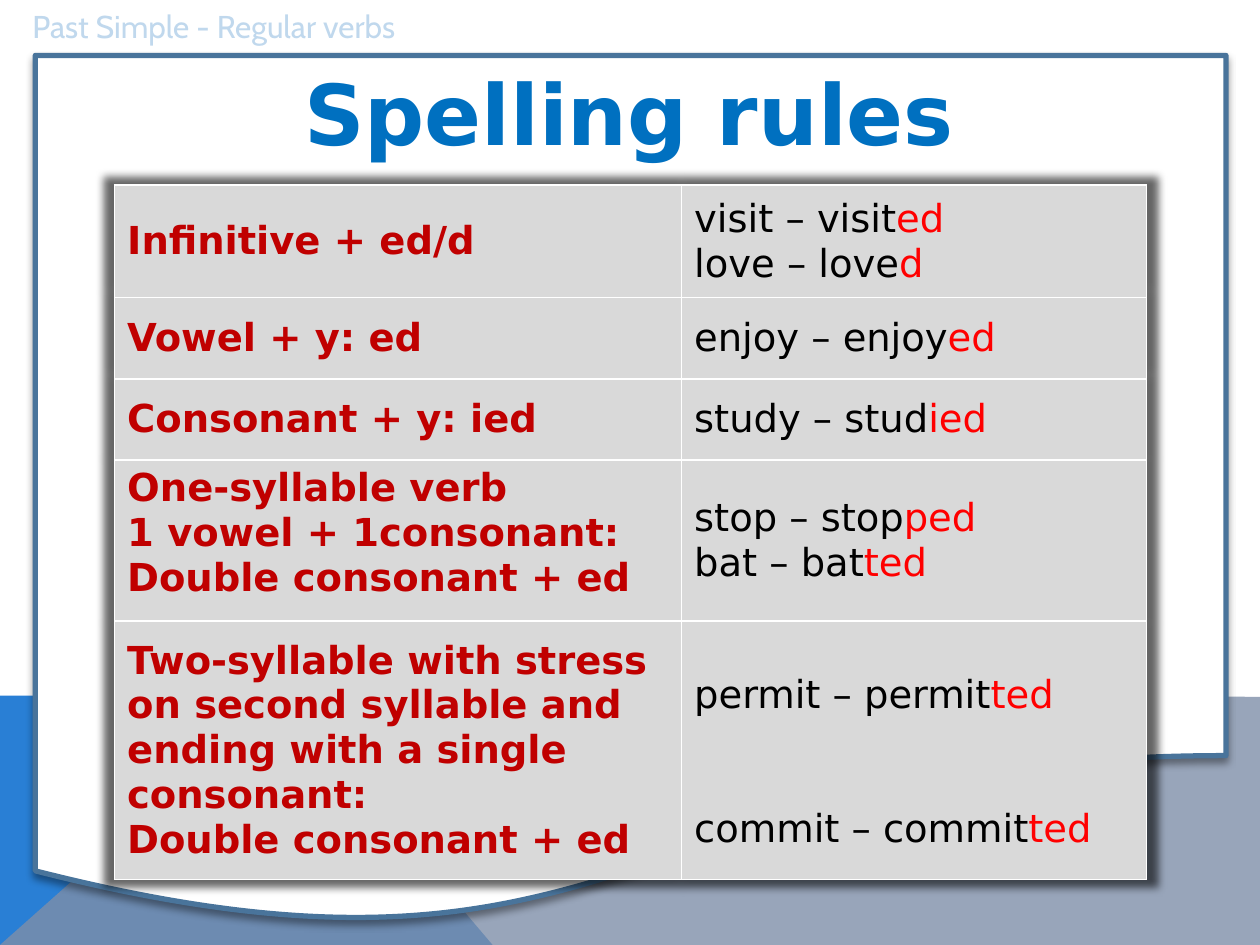
from lxml.etree import SubElement
from pptx import Presentation
from pptx.dml.color import RGBColor
from pptx.enum.shapes import MSO_SHAPE
from pptx.enum.text import MSO_ANCHOR, MSO_AUTO_SIZE, PP_ALIGN
from pptx.oxml.ns import qn
from pptx.util import Inches, Pt

WHITE = RGBColor(0xFF, 0xFF, 0xFF)
BLACK = RGBColor(0x00, 0x00, 0x00)
BLUE = RGBColor(0x29, 0x7F, 0xD5)
SLATE = RGBColor(0x7F, 0x8F, 0xA9)
EDGE = RGBColor(0x49, 0x74, 0x9B)
PALE = RGBColor(0xC0, 0xD8, 0xED)
TITLE = RGBColor(0x00, 0x70, 0xC0)
GRAY = RGBColor(0xD9, 0xD9, 0xD9)
DARK = RGBColor(0xC0, 0x00, 0x00)
RED = RGBColor(0xFF, 0x00, 0x00)

RULES = [
    (0.89, "Infinitive + ed/d", "visit – visit|ed\nlove – love|d"),
    (0.65, "Vowel + y: ed", "enjoy – enjoy|ed"),
    (0.64, "Consonant + y: ied", "study – stud|ied"),
    (1.28, "One-syllable verb\n1 vowel + 1consonant:\nDouble consonant + ed",
     "stop – stop|ped\nbat – bat|ted"),
    (2.05, "Two-syllable with stress on second syllable and ending with a "
     "single consonant:\nDouble consonant + ed",
     "permit – permit|ted\ncommit – commit|ted"),
]


def write(frame, text, size=22, font="DejaVu Sans", color=BLACK, bold=False,
          align=PP_ALIGN.LEFT, gap=0):
    for row, line in enumerate(text.split("\n")):
        para = frame.paragraphs[0] if row == 0 else frame.add_paragraph()
        para.alignment = align
        para.space_before = Pt(gap if row else 0)
        for part, tint in zip(line.split("|"), (color, RED)):
            run = para.add_run()
            run.text = part
            run.font.size = Pt(size)
            run.font.name = font
            run.font.bold = bold
            run.font.color.rgb = tint


def cast(props, alpha, **shape):
    effect = SubElement(props, qn("a:effectLst"))
    shadow = SubElement(effect, qn("a:outerShdw"),
                        {key: str(val) for key, val in shape.items()})
    tint = SubElement(shadow, qn("a:srgbClr"), val=str(BLACK))
    SubElement(tint, qn("a:alpha"), val=str(alpha * 1000))


class Page:
    def __init__(self, slide):
        self.slide = slide
        self.shapes = slide.shapes

    def area(self, points, color, alpha=100):
        pen = self.shapes.build_freeform(
            *(Inches(val) for val in points[0]), scale=1.0)
        pen.add_line_segments([(Inches(x), Inches(y)) for x, y in points[1:]])
        shape = pen.convert_to_shape()
        shape.shadow.inherit = False
        shape.fill.solid()
        shape.fill.fore_color.rgb = color
        shape.line.fill.background()
        if alpha < 100:
            tint = shape._element.spPr.find(qn("a:solidFill"))[0]
            SubElement(tint, qn("a:alpha"), val=str(alpha * 1000))

    def panel(self, *box):
        shape = self.shapes.add_shape(MSO_SHAPE.FLOWCHART_DOCUMENT,
                                      *map(Inches, box))
        shape.fill.solid()
        shape.fill.fore_color.rgb = WHITE
        shape.line.color.rgb = EDGE
        shape.line.width = Pt(3)
        cast(shape._element.spPr, 40, blurRad=Pt(4), dist=Pt(3),
             dir=5400000, algn="t", rotWithShape=0)

    def label(self, text, *box, **style):
        shape = self.shapes.add_textbox(*map(Inches, box))
        shape.text_frame.word_wrap = False
        write(shape.text_frame, text, **style)

    def title(self, text, *box, **style):
        shape = self.shapes.title
        self.shapes._spTree.append(shape._element)
        shape.left, shape.top, shape.width, shape.height = map(Inches, box)
        frame = shape.text_frame
        frame.word_wrap = True
        frame.auto_size = MSO_AUTO_SIZE.NONE
        frame.vertical_anchor = MSO_ANCHOR.TOP
        write(frame, text, **style)

    def cell(self, cell, text, **style):
        cell.vertical_anchor = MSO_ANCHOR.MIDDLE
        props = cell._tc.get_or_add_tcPr()
        for side in ("lnL", "lnR", "lnT", "lnB"):
            line = SubElement(props, qn("a:" + side), w=str(Pt(1)))
            fill = SubElement(line, qn("a:solidFill"))
            SubElement(fill, qn("a:srgbClr"), val=str(WHITE))
        cell.fill.solid()
        cell.fill.fore_color.rgb = GRAY
        write(cell.text_frame, text, **style)

    def table(self, rules, left, top, widths):
        high = sum(rule[0] for rule in rules)
        table = self.shapes.add_table(
            len(rules), len(widths), Inches(left), Inches(top),
            Inches(sum(widths)), Inches(high)).table
        table.first_row = table.horz_banding = False
        for col, width in zip(table.columns, widths):
            col.width = Inches(width)
        last = len(rules) - 1
        for num, (height, rule, verbs) in enumerate(rules):
            table.rows[num].height = Inches(height)
            self.cell(table.cell(num, 0), rule, color=DARK, bold=True)
            self.cell(table.cell(num, 1), verbs, gap=51 if num == last else 0)
        table.cell(3, 0).vertical_anchor = MSO_ANCHOR.TOP
        final = table.cell(last, 1)
        final.vertical_anchor = MSO_ANCHOR.TOP
        final.margin_top = Inches(0.41)
        props = table._tbl.tblPr
        cast(props, 60, blurRad=Pt(5), sx=102000, sy=102000, algn="ctr",
             rotWithShape=0)
        props.insert(0, props[-1])


def main():
    deck = Presentation()
    deck.slide_width, deck.slide_height = Inches(10), Inches(7.5)
    page = Page(deck.slides.add_slide(deck.slide_layouts[5]))
    page.area([(0, 7.5), (0, 5.52), (2.23, 5.52), (3.91, 7.5)], BLUE)
    page.area([(0, 7.5), (2.23, 5.52), (10, 5.53), (10, 7.5)], SLATE, 80)
    page.panel(0.28, 0.44, 9.45, 6.93)
    page.label("Past Simple - Regular verbs", 0.16, 0.01, 3.34, 0.4,
               size=18, font="Cabin", color=PALE)
    page.title("Spelling rules", 1.63, 0.44, 6.73, 0.91, size=48,
               color=TITLE, bold=True, align=PP_ALIGN.CENTER)
    page.table(RULES, 0.91, 1.47, (4.5, 3.69))
    deck.save("out.pptx")


if __name__ == "__main__":
    main()
